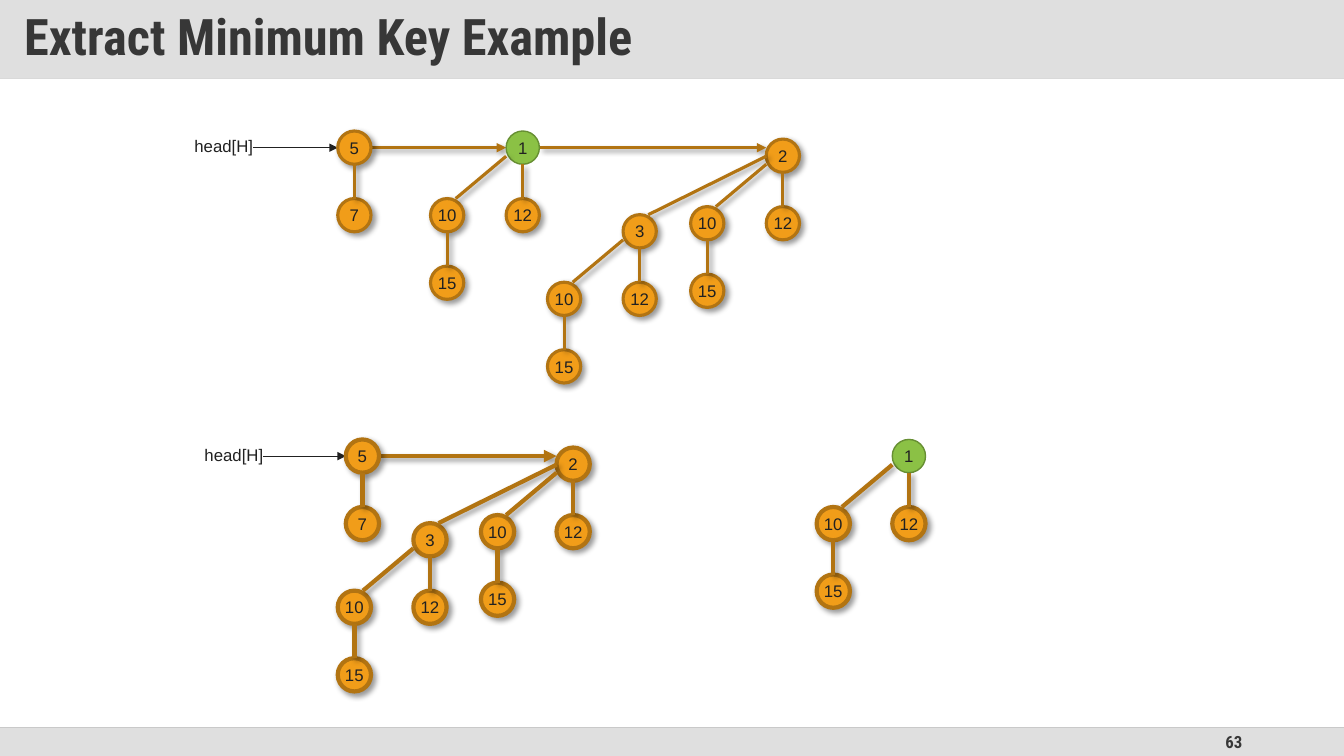
"""Draw a binomial heap before and after its minimum key is extracted."""
from pptx import Presentation
from pptx import util as u
from pptx.dml.color import RGBColor
from pptx.enum import shapes, text
from pptx.oxml import parse_xml
from pptx.oxml.ns import nsdecls, qn

SIZE = 0.33
MID = 0.165
STEP = 0.67
NEAR = (-0.75, STEP, 0.25)
FAR = (-1.42, 0.75, 0.17)
DOWN = (0, STEP, None)

PAIR = ("10", [(DOWN, ("15", []))])
LEAF = ("12", [])
FIVE = ("5", [(DOWN, ("7", []))])
ONE = ("1", [(NEAR, PAIR), (DOWN, LEAF)])
THREE = ("3", [(NEAR, PAIR), (DOWN, LEAF)])
TWO = ("2", [(FAR, THREE), (NEAR, PAIR), (DOWN, LEAF)])


def color(code):
    return RGBColor.from_string(code)


class Board:
    INK, DARK, GRAY = "212121", "373737", "DFDFDF"
    GOLD, RIM, GREEN, MOSS = "F19D19", "B27412", "8BC145", "678F33"
    HEAD, BODY = "Roboto Condensed", "Arial"

    def __init__(self, slide):
        self.items = slide.shapes

    def letter(self, frame, words, size, font, tint, bold=False, align=None):
        frame.text = words
        frame.vertical_anchor = text.MSO_ANCHOR.MIDDLE
        para = frame.paragraphs[0]
        para.alignment = align
        face = para.runs[0].font
        face.size, face.name, face.bold = u.Pt(size), font, bold
        face.color.rgb = color(tint)

    def shade(self, item):
        props = item.element.spPr
        for old in props.findall(qn("a:effectLst")):
            props.remove(old)
        props.append(parse_xml(
            f'<a:effectLst {nsdecls("a")}><a:outerShdw blurRad="{u.Pt(4)}" '
            f'dist="{u.Pt(3)}" dir="2700000" algn="tl" rotWithShape="0">'
            '<a:srgbClr val="000000"><a:alpha val="40000"/></a:srgbClr>'
            '</a:outerShdw></a:effectLst>'))

    def title(self, words):
        head = self.items.title
        head.left, head.top = u.Inches(0), u.Inches(0)
        head.width, head.height = u.Inches(13.33), u.Inches(0.78)
        head.fill.solid()
        head.fill.fore_color.rgb = color("C0C0C0")
        tone = head.element.spPr.find(qn("a:solidFill"))[0]
        tone.append(parse_xml(f'<a:alpha {nsdecls("a")} val="50000"/>'))
        frame = head.text_frame
        self.letter(frame, words, 36, self.HEAD, self.DARK, True,
                    text.PP_ALIGN.LEFT)
        frame.margin_left = frame.margin_right = u.Inches(0.24)
        frame.margin_top = frame.margin_bottom = u.Inches(0.12)
        frame.paragraphs[0].line_spacing = 0.9

    def shape(self, kind, x, y, w, h, fill):
        item = self.items.add_shape(kind, *map(u.Inches, (x, y, w, h)))
        item.shadow.inherit = False
        item.fill.solid()
        item.fill.fore_color.rgb = color(fill)
        item.line.fill.background()
        return item

    def label(self, words, x, y, w, h, *style):
        box = self.items.add_textbox(*map(u.Inches, (x, y, w, h)))
        box.text_frame.word_wrap = True
        self.letter(box.text_frame, words, *style)

    def line(self, start, end, tint, width, arrow=False, shadow=False):
        link = self.items.add_connector(
            shapes.MSO_CONNECTOR.STRAIGHT, *map(u.Inches, start + end))
        link.line.color.rgb = color(tint)
        link.line.width = u.Pt(width)
        props = link.element.spPr
        if arrow:
            props.find(qn("a:ln")).append(
                parse_xml(f'<a:tailEnd {nsdecls("a")} type="triangle"/>'))
        if shadow:
            self.shade(link)
        else:
            props.append(parse_xml(f'<a:effectLst {nsdecls("a")}/>'))
        return link

    def node(self, key, x, y, width):
        least = key == "1"
        item = self.shape(shapes.MSO_SHAPE.OVAL, x, y, SIZE, SIZE,
                          self.GREEN if least else self.GOLD)
        item.line.color.rgb = color(self.MOSS if least else self.RIM)
        item.line.width = u.Pt(1 if least else width)
        if not least:
            self.shade(item)
        self.letter(item.text_frame, key, 12, self.BODY, self.INK,
                    align=text.PP_ALIGN.CENTER)
        item.text_frame.word_wrap = False
        return item

    def tree(self, root, x, y, width):
        key, kids = root
        top = self.node(key, x, y, width)
        for (dx, dy, drop), kid in kids:
            left, low = x + dx, y + dy
            child = self.tree(kid, left, low, width)
            if drop is None:
                link = self.line((x + MID, y + SIZE), (left + MID, low),
                                 self.RIM, width, shadow=True)
                link.end_connect(child, 0)
            else:
                self.line((left + 0.25, low), (x, y + drop),
                          self.RIM, width, shadow=True)
        return top

    def heap(self, x, y, roots, width):
        mid = y + MID
        first = x + roots[0][0]
        self.label("head[H]", x, y, 0.83, 0.3, 12, self.BODY, self.INK)
        self.line((x + 0.68, mid), (first, mid), self.INK, 0.75, arrow=True)
        for (here, _), (there, _) in zip(roots, roots[1:]):
            self.line((x + here + SIZE, mid), (x + there, mid),
                      self.RIM, width, arrow=True, shadow=True)
        for dx, root in roots:
            self.tree(root, x + dx, y + (0.08 if root is TWO else 0), width)


def main():
    deck = Presentation()
    deck.slide_width, deck.slide_height = u.Inches(13.33), u.Inches(7.5)
    board = Board(deck.slides.add_slide(deck.slide_layouts[5]))
    board.title("Extract Minimum Key Example")
    board.shape(shapes.MSO_SHAPE.RECTANGLE, 0, 7.22, 13.33, 0.28, board.GRAY)
    for y, tint in ((0.78, "D9D9D9"), (7.22, "C9C9C9")):
        board.line((0, y), (13.33, y), tint, 1)
    board.label("63", 9.42, 7.22, 3, 0.28, 12, board.HEAD, board.DARK, True,
                text.PP_ALIGN.RIGHT)
    board.heap(1.83, 1.3, [(1.52, FIVE), (3.19, ONE), (5.77, TWO)], 2.25)
    board.heap(1.93, 4.36, [(1.5, FIVE), (3.59, TWO)], 3)
    board.tree(ONE, 8.85, 4.36, 3)
    deck.save("out.pptx")


if __name__ == "__main__":
    main()
